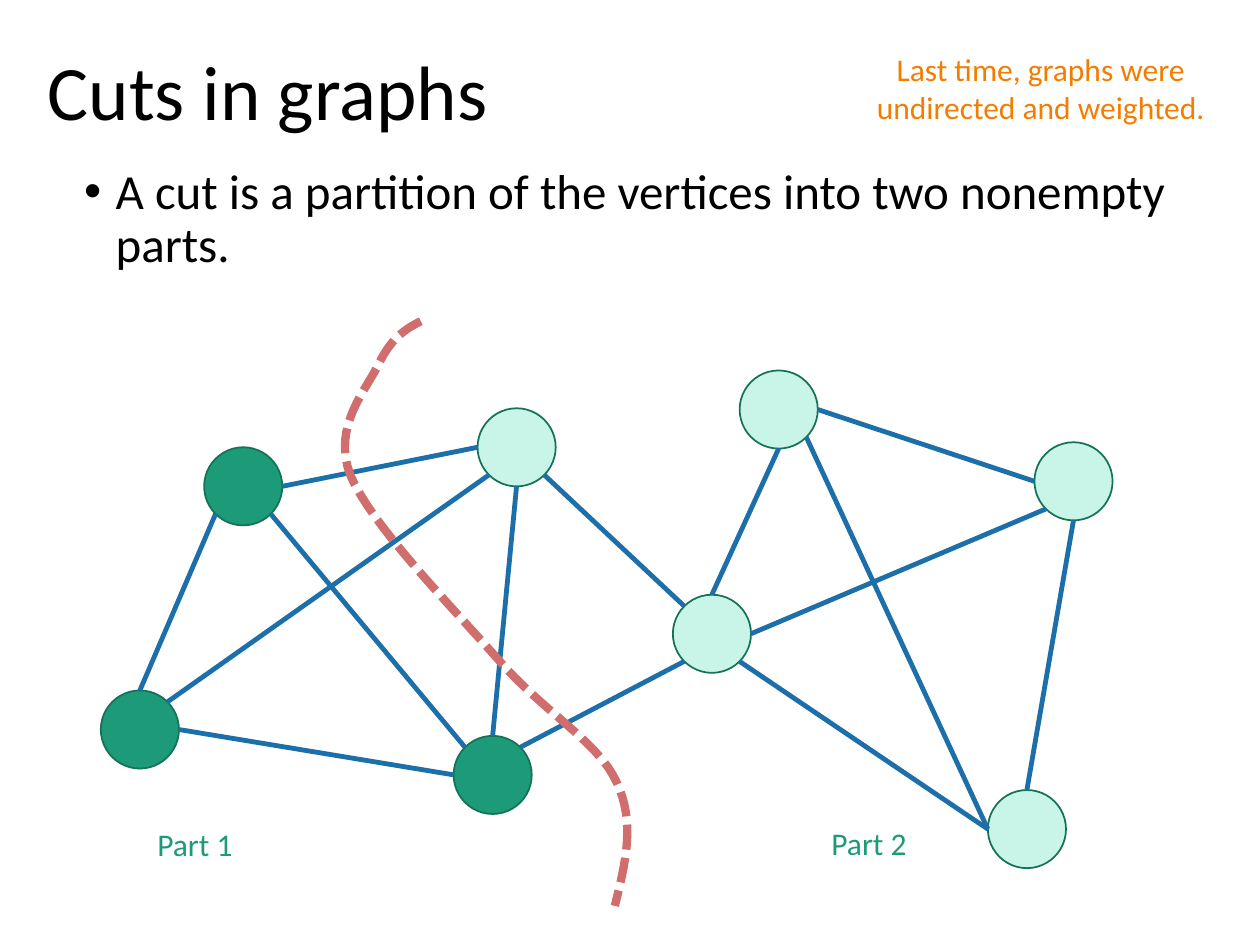
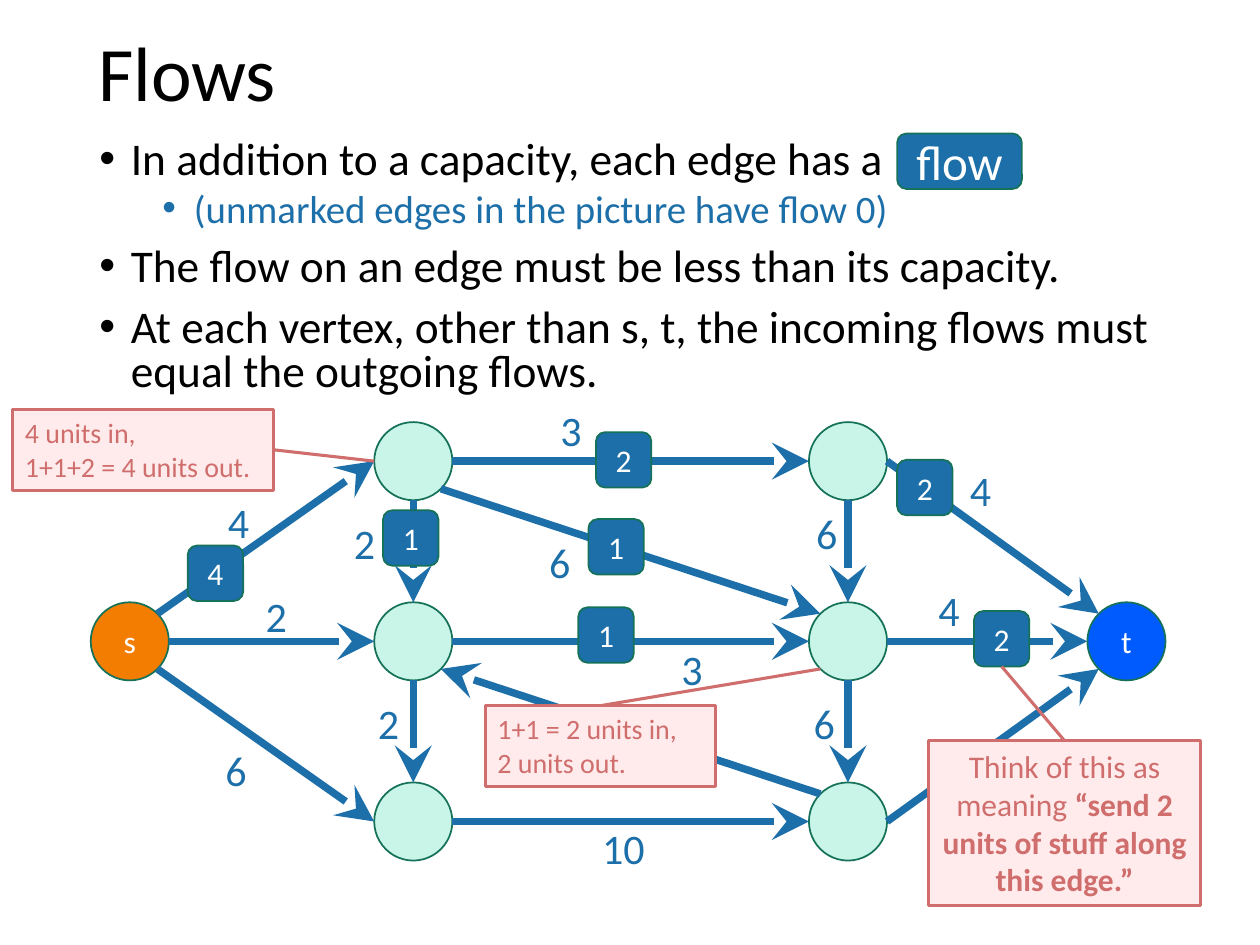
from dataclasses import dataclass
from itertools import pairwise
from math import sqrt

from lxml import etree
from pptx import Presentation
from pptx.dml.color import RGBColor
from pptx.enum import dml, shapes, text
from pptx.oxml import ns
from pptx.util import Inches, Pt

FONT = "Calibri"
BLACK, WHITE = "000000", "FFFFFF"
BLUE, GREEN, MINT, RIM = "1D6FA9", "1D9A78", "C8F5E8", "157259"
ORANGE, ROYAL, RED, BLUSH = "F27D00", "005BFF", "CF6E6C", "FFEBEC"
LEFT, CENTER = text.PP_ALIGN.LEFT, text.PP_ALIGN.CENTER
TOP, MIDDLE = text.MSO_ANCHOR.TOP, text.MSO_ANCHOR.MIDDLE
OVAL = shapes.MSO_SHAPE.OVAL
ROUNDED = shapes.MSO_SHAPE.ROUNDED_RECTANGLE
RECTANGLE = shapes.MSO_SHAPE.RECTANGLE
VERTEX_SIZE = 0.62
BADGE_SIZE = 0.44
DIAGONAL = sqrt(0.5)
SITES = {
    "N": (0, -1), "S": (0, 1), "W": (-1, 0), "E": (1, 0),
    "NW": (-DIAGONAL, -DIAGONAL), "NE": (DIAGONAL, -DIAGONAL),
    "SW": (-DIAGONAL, DIAGONAL), "SE": (DIAGONAL, DIAGONAL),
}

Point = tuple[float, float]
Area = tuple[float, float, float, float]


@dataclass
class Span:
    words: str
    size: float
    color: str = BLACK
    bold: bool = False


@dataclass
class Para:
    spans: list[Span]
    align: text.PP_ALIGN = LEFT
    spacing: float = 1.0
    before: float = 0
    bullet_indent: float | None = None


@dataclass
class Vertex:
    left: float
    top: float
    fill: str = MINT
    label: str = ""

    def site(self, name: str) -> Point:
        radius = VERTEX_SIZE / 2
        across, down = SITES[name]
        return self.left + radius * (1 + across), self.top + radius * (1 + down)


@dataclass
class Edge:
    start: str
    start_site: str
    end: str
    end_site: str


@dataclass
class Label:
    words: str
    left: float
    top: float
    width: float = BADGE_SIZE
    size: float = 18


@dataclass
class Callout:
    area: Area
    paras: list[Para]
    start: Point
    end: Point


def rgb(value: str) -> RGBColor:
    return RGBColor.from_string(value)


def write(frame, paras: list[Para], anchor=TOP) -> None:
    frame.word_wrap = True
    frame.vertical_anchor = anchor
    for index, item in enumerate(paras):
        para = frame.paragraphs[0] if index == 0 else frame.add_paragraph()
        para.alignment = item.align
        para.line_spacing = item.spacing
        if index:
            para.space_before = Pt(item.before)
        if item.bullet_indent is not None:
            properties = para._p.get_or_add_pPr()
            properties.set("marL", str(Inches(item.bullet_indent)))
            properties.set("indent", str(Inches(-0.25)))
            etree.SubElement(properties, ns.qn("a:buFont"), typeface="Arial")
            etree.SubElement(properties, ns.qn("a:buChar"), char="•")
        for part in item.spans:
            span = para.add_run()
            span.text = part.words
            span.font.name = FONT
            span.font.size = Pt(part.size)
            span.font.bold = part.bold
            span.font.color.rgb = rgb(part.color)


def add_text(page, area: Area, paras: list[Para], anchor=TOP) -> None:
    box = page.shapes.add_textbox(*map(Inches, area))
    write(box.text_frame, paras, anchor)


def add_title(page, left: float, top: float, words: str) -> None:
    add_text(page, (left, top, 8.62, 1.45), [Para([Span(words, 44)], spacing=0.9)], MIDDLE)


def add_box(page, kind, area: Area, fill: str, line: str, width: float,
            paras: list[Para], anchor=MIDDLE) -> None:
    box = page.shapes.add_shape(kind, *map(Inches, area))
    box.shadow.inherit = False
    box.fill.solid()
    box.fill.fore_color.rgb = rgb(fill)
    box.line.color.rgb = rgb(line)
    box.line.width = Pt(width)
    write(box.text_frame, paras, anchor)


def add_line(page, start: Point, end: Point, color: str, width: float, arrow: bool = False) -> None:
    line = page.shapes.add_connector(shapes.MSO_CONNECTOR.STRAIGHT, *map(Inches, start + end))
    line.line.color.rgb = rgb(color)
    line.line.width = Pt(width)
    properties = line._element.spPr
    if arrow:
        outline = properties.find(ns.qn("a:ln"))
        etree.SubElement(outline, ns.qn("a:tailEnd"), type="stealth", w="lg", len="lg")
    etree.SubElement(properties, ns.qn("a:effectLst"))


def add_graph(page, vertices: dict[str, Vertex], edges: list[Edge], width: float,
              arrow: bool = False) -> None:
    for vertex in vertices.values():
        area = (vertex.left, vertex.top, VERTEX_SIZE, VERTEX_SIZE)
        paras = [Para([Span(vertex.label, 18, WHITE)], CENTER)] if vertex.label else []
        add_box(page, OVAL, area, vertex.fill, RIM, 1, paras)
    for edge in edges:
        start = vertices[edge.start].site(edge.start_site)
        end = vertices[edge.end].site(edge.end_site)
        add_line(page, start, end, BLUE, width, arrow)


def add_badge(page, badge: Label) -> None:
    add_box(page, ROUNDED, (badge.left, badge.top, badge.width, BADGE_SIZE), BLUE, RIM, 1,
            [Para([Span(badge.words, badge.size, WHITE)], CENTER)])


def add_callout(page, callout: Callout) -> None:
    add_box(page, RECTANGLE, callout.area, BLUSH, RED, 1.75, callout.paras, TOP)
    add_line(page, callout.start, callout.end, RED, 1.75)


def bezier(points: tuple[Point, ...], t: float) -> Point:
    while len(points) > 1:
        points = tuple(
            (a[0] + (b[0] - a[0]) * t, a[1] + (b[1] - a[1]) * t) for a, b in pairwise(points)
        )
    return points[0]


def add_cut(page, knots: list[Point], steps: int = 16) -> None:
    curve = [
        tuple(map(Inches, bezier(tuple(knots[first:first + 4]), step / steps)))
        for first in range(0, len(knots) - 1, 3)
        for step in range(1, steps + 1)
    ]
    builder = page.shapes.build_freeform(*map(Inches, knots[0]))
    builder.add_line_segments(curve, close=False)
    cut = builder.convert_to_shape()
    cut.shadow.inherit = False
    cut.fill.background()
    cut.line.color.rgb = rgb(RED)
    cut.line.width = Pt(4.75)
    cut.line.dash_style = dml.MSO_LINE.SQUARE_DOT


def build_cuts(page) -> None:
    add_title(page, 0.28, 0.03, "Cuts in graphs")
    definition = "A cut is a partition of the vertices into two nonempty parts."
    add_text(page, (0.57, 1.28, 9.14, 4.76),
             [Para([Span(definition, 28)], spacing=0.9, bullet_indent=0.25)])
    vertices = {
        "a": Vertex(0.8, 5.48, GREEN), "b": Vertex(1.62, 3.55, GREEN),
        "c": Vertex(3.6, 5.84, GREEN), "d": Vertex(3.79, 3.24),
        "e": Vertex(5.34, 4.72), "f": Vertex(5.87, 2.94),
        "g": Vertex(8.21, 3.51), "h": Vertex(7.84, 6.27),
    }
    edges = [
        Edge("b", "SE", "c", "NW"), Edge("b", "E", "d", "W"),
        Edge("g", "W", "f", "E"), Edge("g", "S", "h", "N"),
        Edge("e", "SE", "h", "W"), Edge("d", "SE", "e", "NW"),
        Edge("d", "SW", "a", "NE"), Edge("c", "W", "a", "E"),
        Edge("c", "NE", "e", "SW"), Edge("a", "N", "b", "SW"),
        Edge("c", "N", "d", "S"), Edge("h", "W", "f", "SE"),
        Edge("g", "SW", "e", "E"), Edge("f", "S", "e", "N"),
    ]
    add_graph(page, vertices, edges, 2.75)
    add_cut(page, [
        (3.34, 2.55), (3.22, 2.61), (3.11, 2.68), (3.01, 2.88),
        (2.92, 3.08), (2.63, 3.38), (2.78, 3.77),
        (2.94, 4.16), (3.59, 4.82), (3.95, 5.23),
        (4.3, 5.64), (4.74, 5.88), (4.89, 6.2),
        (5.05, 6.53), (4.96, 6.86), (4.88, 7.19),
    ])
    for part in (Label("Part 1", 1.15, 6.5, 2.36), Label("Part 2", 6.5, 6.49, 2.36)):
        add_text(page, (part.left, part.top, part.width, 0.4),
                 [Para([Span(part.words, part.size, GREEN)])])
    reminder = "Last time, graphs were undirected and weighted."
    add_text(page, (6.82, 0.35, 2.88, 0.71), [Para([Span(reminder, 18, ORANGE)], CENTER)])


def build_flows(page) -> None:
    add_title(page, 0.68, -0.12, "Flows")
    rules = [
        Para([Span(words, size, color)], LEFT, 0.8, before, indent)
        for words, size, color, before, indent in (
            ("In addition to a capacity, each edge has a", 25.9, BLACK, 10, 0.25),
            ("(unmarked edges in the picture have flow 0)", 22.2, BLUE, 5, 0.75),
            ("The flow on an edge must be less than its capacity.", 25.9, BLACK, 10, 0.25),
            ("At each vertex, other than s, t, the incoming flows must equal the outgoing flows.",
             25.9, BLACK, 10, 0.25),
        )
    ]
    add_text(page, (0.69, 1.07, 9.31, 2.24), rules)
    vertices = {"t": Vertex(8.63, 4.78, ROYAL, "t"), "s": Vertex(0.72, 4.78, ORANGE, "s")}
    for column, left in (("a", 2.97), ("b", 6.42)):
        for row in range(3):
            vertices[f"{column}{row}"] = Vertex(left, 3.35 + 1.43 * row)
    edges = [
        Edge("s", "SE", "a2", "W"), Edge("s", "E", "a1", "W"), Edge("s", "NE", "a0", "W"),
        Edge("b2", "NW", "a1", "SE"), Edge("a0", "SE", "b1", "NW"),
        Edge("b0", "E", "t", "NW"), Edge("b1", "E", "t", "W"), Edge("b2", "E", "t", "SW"),
    ]
    edges += [Edge(f"a{row}", "E", f"b{row}", "W") for row in range(3)]
    edges += [Edge(f"{column}{row}", "S", f"{column}{row + 1}", "N")
              for column in "ab" for row in range(2)]
    add_graph(page, vertices, edges, 4.25, arrow=True)
    capacities = [
        Label("4", 1.71, 3.89), Label("2", 2.01, 4.64), Label("6", 1.69, 5.86),
        Label("3", 4.35, 3.16), Label("6", 4.26, 4.21), Label("3", 5.31, 5.06),
        Label("10", 4.68, 6.48), Label("4", 7.35, 4.59), Label("4", 7.6, 3.64),
        Label("2", 2.71, 4.06), Label("2", 2.9, 5.49),
        Label("6", 6.38, 3.98), Label("6", 6.36, 5.49),
    ]
    for capacity in capacities:
        add_text(page, (capacity.left, capacity.top, 0.66, 0.5),
                 [Para([Span(capacity.words, 24, BLUE)])])
    flows = [
        Label("4", 1.49, 4.33), Label("2", 4.73, 3.43), Label("1", 4.67, 4.12),
        Label("2", 7.12, 3.65), Label("2", 7.73, 4.85), Label("flow", 7.12, 1.06, 0.99, 28),
        Label("1", 3.04, 4.05), Label("1", 4.59, 4.82),
    ]
    for flow in flows:
        add_badge(page, flow)
    meaning = [Span("Think of this as meaning ", 18, RED),
               Span("“send 2 units of stuff along this edge.”", 18, RED, True)]
    callouts = [
        Callout((7.37, 5.88, 2.16, 1.31), [Para(meaning, CENTER)], (7.95, 5.29), (8.45, 5.88)),
        Callout((0.1, 3.25, 2.07, 0.64),
                [Para([Span(words, 16, RED)]) for words in ("4 units in,", "1+1+2 = 4 units out.")],
                (2.17, 3.57), vertices["a0"].site("W")),
        Callout((3.85, 5.6, 1.83, 0.64),
                [Para([Span(words, 16, RED)]) for words in ("1+1 = 2 units in,", "2 units out.")],
                (4.77, 5.6), vertices["b1"].site("SW")),
    ]
    for callout in callouts:
        add_callout(page, callout)


def main() -> None:
    deck = Presentation()
    deck.slide_width, deck.slide_height = Inches(10), Inches(7.5)
    for build in (build_cuts, build_flows):
        build(deck.slides.add_slide(deck.slide_layouts[6]))
    deck.save("out.pptx")


if __name__ == "__main__":
    main()
